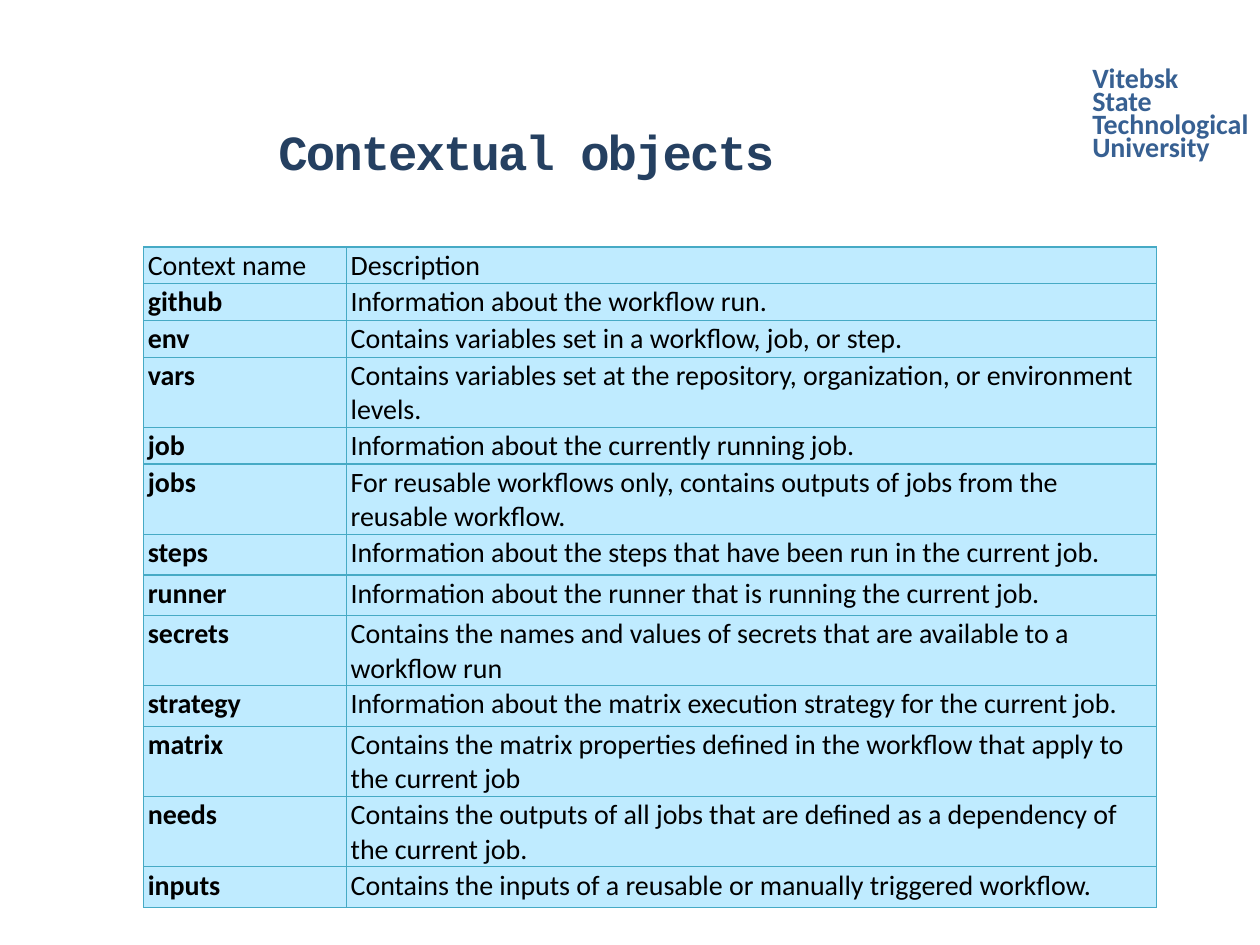
from lxml.etree import SubElement
from pptx import Presentation
from pptx.dml.color import RGBColor
from pptx.enum.text import MSO_ANCHOR, MSO_AUTO_SIZE, PP_ALIGN
from pptx.oxml.ns import qn
from pptx.util import Cm, Pt

COLORS = {
    "title": "254061",
    "university": "376092",
    "text": "000000",
    "cell": "BFEBFF",
    "border": "46AAC5",
}
ONE_LINE, SPACED_LINE, TWO_LINES = 0.74, 0.82, 1.41

ROWS = [
    ("Context name", "Description", ONE_LINE),
    ("github", "Information about the workflow run.", ONE_LINE),
    ("env", "Contains variables set in a workflow, job, or step.", ONE_LINE),
    ("vars", "Contains variables set at the repository, organization, or environment levels.", TWO_LINES),
    ("job", "Information about the currently running job.", ONE_LINE),
    ("jobs", "For reusable workflows only, contains outputs of jobs from the reusable workflow.", TWO_LINES),
    ("steps", "Information about the steps that have been run in the current job.", SPACED_LINE),
    ("runner", "Information about the runner that is running the current job.", SPACED_LINE),
    ("secrets", "Contains the names and values of secrets that are available to a workflow run", TWO_LINES),
    ("strategy", "Information about the matrix execution strategy for the current job.", SPACED_LINE),
    ("matrix", "Contains the matrix properties defined in the workflow that apply to the current job", TWO_LINES),
    ("needs", "Contains the outputs of all jobs that are defined as a dependency of the current job.", TWO_LINES),
    ("inputs", "Contains the inputs of a reusable or manually triggered workflow.", SPACED_LINE),
]


def add_text(p, text, color, **font):
    r = p.add_run()
    r.text = text
    r.font.color.rgb = RGBColor.from_string(COLORS[color])
    for name, value in font.items():
        setattr(r.font, name, value)
    return r


def set_borders(cell):
    tcPr = cell._tc.get_or_add_tcPr()
    for side in ("lnL", "lnR", "lnT", "lnB"):
        ln = SubElement(tcPr, qn(f"a:{side}"), w=str(Pt(0.75)))
        fill = SubElement(ln, qn("a:solidFill"))
        SubElement(fill, qn("a:srgbClr"), val=COLORS["border"])


prs = Presentation()
prs.slide_width, prs.slide_height = Cm(25.4), Cm(19.05)
s = prs.slides.add_slide(prs.slide_layouts[5])

# University name
sp = s.shapes.add_textbox(Cm(21.77), Cm(1.32), Cm(3.71), Cm(1.93))
tf = sp.text_frame
tf.word_wrap = False
tf.auto_size = MSO_AUTO_SIZE.SHAPE_TO_FIT_TEXT
for i, word in enumerate(("Vitebsk", "State", "Technological", "University")):
    p = tf.add_paragraph() if i else tf.paragraphs[0]
    p.line_spacing = Pt(13)
    add_text(p, word, "university", name="Calibri", size=Pt(16), bold=True)

# Table of contexts
height = Cm(sum(row[2] for row in ROWS))
table = s.shapes.add_table(len(ROWS), 2, Cm(2.9), Cm(4.98), Cm(20.42), height).table
table.first_row = table.horz_banding = False
for column, width in zip(table.columns, (4.09, 16.33)):
    column.width = Cm(width)

CELL_FORMAT = {
    "margin_left": Cm(0.08),
    "margin_right": Cm(0.08),
    "margin_top": Cm(0.03),
    "margin_bottom": Cm(0.03),
    "vertical_anchor": MSO_ANCHOR.TOP,
}
for i, (context, description, row_height) in enumerate(ROWS):
    table.rows[i].height = Cm(row_height)
    for j, text in enumerate((context, description)):
        cell = table.cell(i, j)
        for name, value in CELL_FORMAT.items():
            setattr(cell, name, value)
        set_borders(cell)
        cell.fill.solid()
        cell.fill.fore_color.rgb = RGBColor.from_string(COLORS["cell"])
        add_text(cell.text_frame.paragraphs[0], text, "text",
                 name="Calibri", size=Pt(16), bold=i > 0 and j == 0)

# Title
title = s.shapes.title
title.left, title.top, title.width, title.height = Cm(5.36), Cm(1.78), Cm(14.55), Cm(2.54)
tf = title.text_frame
tf.vertical_anchor = MSO_ANCHOR.MIDDLE
p = tf.paragraphs[0]
p.alignment = PP_ALIGN.LEFT
r = add_text(p, "Contextual objects", "title", name="Courier New", size=Pt(28), bold=True)
r.font._element.set("spc", "-110")

prs.save("out.pptx")
